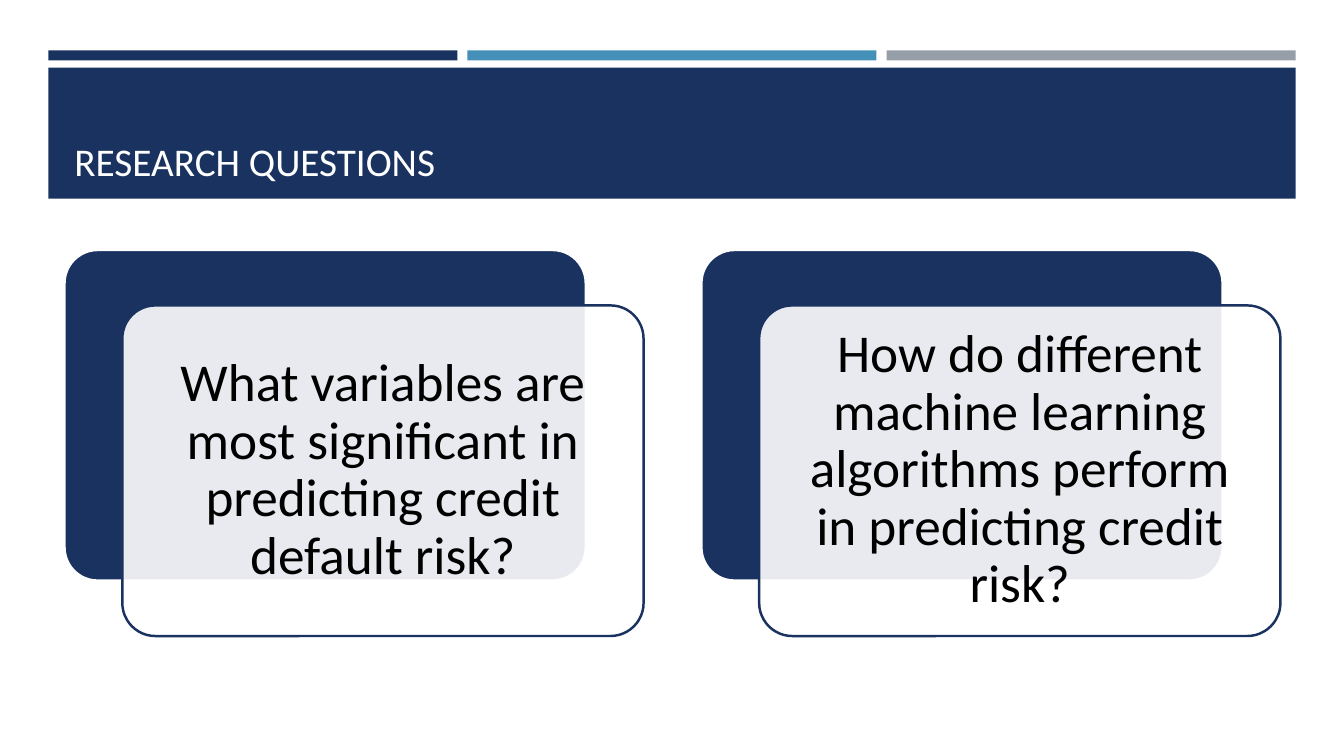
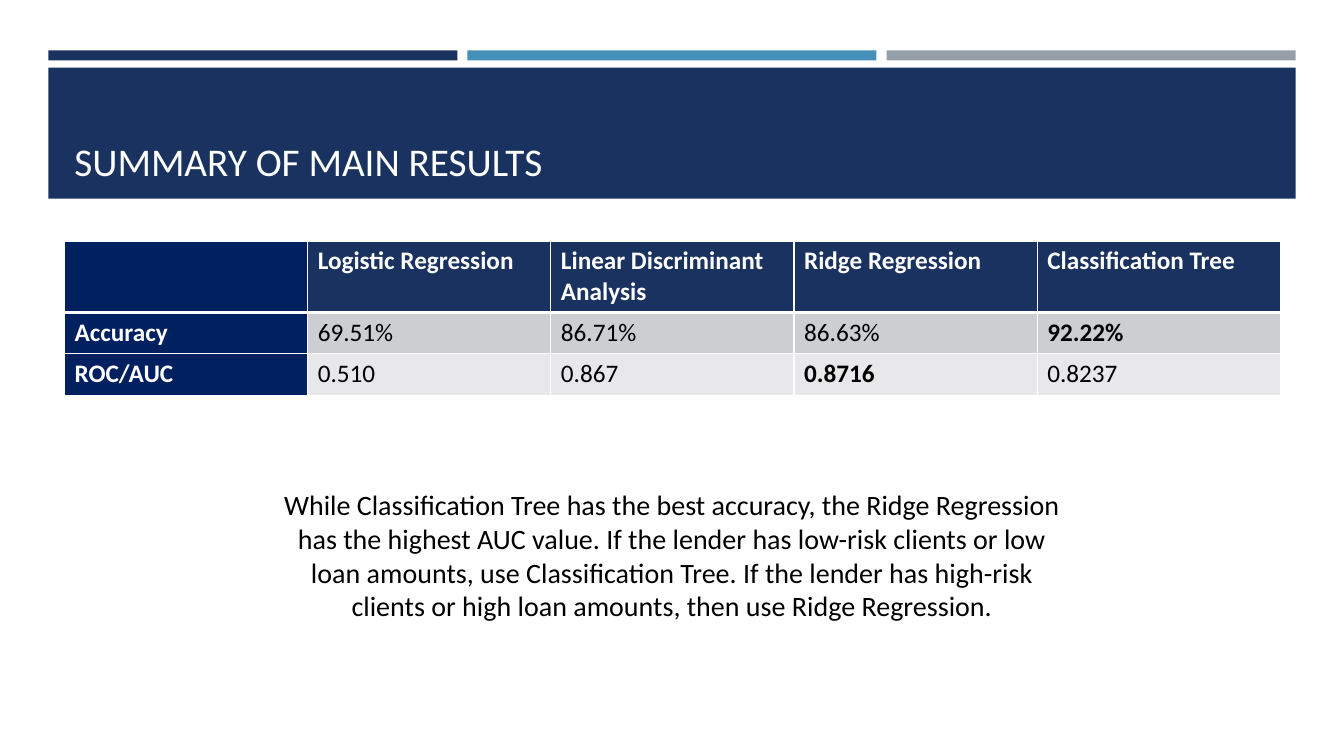
import lxml.etree
import pptx
import pptx.dml.color
import pptx.enum.shapes
import pptx.enum.text
import pptx.oxml.ns
import pptx.util

COLORS = {
    "navy": "1A3260",
    "deep": "002060",
    "blue": "4590B8",
    "gray": "969FA7",
    "odd_row": "CDCED2",
    "even_row": "E8E8EA",
    "white": "FFFFFF",
    "black": "000000",
}
FONT = "Calibri"
SLIDE_WIDTH, SLIDE_HEIGHT = 13.33, 7.5
CONTENT_LEFT, CONTENT_WIDTH = 0.64, 12.06
BAND_LEFT, BAND_WIDTH = 0.48, 12.37
BAR_GAP = 0.1
CARD_WIDTH, CARD_HEIGHT, CARD_TOP = 5.17, 3.28, 2.48
CARD_SHIFT_Y = 0.55

ALIGN = pptx.enum.text.PP_ALIGN
ANCHOR = pptx.enum.text.MSO_ANCHOR
SHAPE = pptx.enum.shapes.MSO_SHAPE

QUESTIONS = [
    "What variables are most significant in predicting credit default risk?",
    "How do different machine learning algorithms perform in predicting credit risk?",
]
RESULTS = [
    ["", "Logistic Regression", "Linear Discriminant Analysis", "Ridge Regression", "Classification Tree"],
    ["Accuracy", "69.51%", "86.71%", "86.63%", "92.22%"],
    ["ROC/AUC", "0.510", "0.867", "0.8716", "0.8237"],
]
BEST_RESULTS = {"92.22%", "0.8716"}
CONCLUSION = (
    "While Classification Tree has the best accuracy, the Ridge Regression has the highest AUC value. "
    "If the lender has low-risk clients or low loan amounts, use Classification Tree. "
    "If the lender has high-risk clients or high loan amounts, then use Ridge Regression."
)


def rgb(name):
    return pptx.dml.color.RGBColor.from_string(COLORS[name])


def box(left, top, width, height):
    return [pptx.util.Inches(length) for length in (left, top, width, height)]


def write(frame, text, size=18, color="black", bold=False, align=ALIGN.LEFT, spacing=1.0):
    frame.word_wrap = True
    paragraph = frame.paragraphs[0]
    paragraph.alignment = align
    paragraph.line_spacing = spacing
    paragraph.font.size = pptx.util.Pt(size)
    if text:
        run = paragraph.add_run()
        run.text = text
        run.font.name = FONT
        run.font.size = pptx.util.Pt(size)
        run.font.bold = bold
        run.font.color.rgb = rgb(color)


def add_text(slide, place, text, anchor=ANCHOR.TOP, **style):
    frame = slide.shapes.add_textbox(*box(*place)).text_frame
    frame.vertical_anchor = anchor
    write(frame, text, **style)


def add_block(slide, place, fill, line=None, kind=SHAPE.RECTANGLE, alpha=None):
    shape = slide.shapes.add_shape(kind, *box(*place))
    shape.shadow.inherit = False
    shape.fill.solid()
    shape.fill.fore_color.rgb = rgb(fill)
    if alpha is not None:
        color = shape.fill._xPr.find(".//" + pptx.oxml.ns.qn("a:srgbClr"))
        lxml.etree.SubElement(color, pptx.oxml.ns.qn("a:alpha"), val=str(alpha * 1000))
    if line:
        shape.line.color.rgb = rgb(line)
        shape.line.width = pptx.util.Pt(1.75)
    else:
        shape.line.fill.background()
    return shape


def add_page(presentation, title):
    slide = presentation.slides.add_slide(presentation.slide_layouts[6])
    bar_width = (BAND_WIDTH - 2 * BAR_GAP) / 3
    for column, color in enumerate(("navy", "blue", "gray")):
        left = BAND_LEFT + column * (bar_width + BAR_GAP)
        add_block(slide, (left, 0.5, bar_width, 0.1), color)
    add_block(slide, (BAND_LEFT, 0.67, BAND_WIDTH, 1.3), "navy")
    add_text(slide, (CONTENT_LEFT, 0.77, CONTENT_WIDTH, 1.11), title,
             anchor=ANCHOR.BOTTOM, size=28, color="white")
    return slide


def add_question_card(slide, column, question):
    shift = (CONTENT_WIDTH - 2 * CARD_WIDTH) / 3
    left = CONTENT_LEFT + column * (CARD_WIDTH + 2 * shift)
    add_block(slide, (left, CARD_TOP, CARD_WIDTH, CARD_HEIGHT), "navy",
              line="white", kind=SHAPE.ROUNDED_RECTANGLE).adjustments[0] = 0.1
    card = add_block(slide, (left + shift, CARD_TOP + CARD_SHIFT_Y, CARD_WIDTH, CARD_HEIGHT), "white",
                     line="navy", kind=SHAPE.ROUNDED_RECTANGLE, alpha=90)
    card.adjustments[0] = 0.1
    frame = card.text_frame
    frame.margin_left = frame.margin_right = pptx.util.Inches(0.16)
    frame.margin_top = frame.margin_bottom = pptx.util.Inches(0.16)
    frame.vertical_anchor = ANCHOR.MIDDLE
    write(frame, question, size=38, align=ALIGN.CENTER, spacing=0.9)


def set_borders(cell, widths):
    properties = cell._tc.get_or_add_tcPr()
    for position, (side, width) in enumerate(widths.items()):
        line = lxml.etree.Element(pptx.oxml.ns.qn("a:" + side), w=str(pptx.util.Pt(width)))
        fill = lxml.etree.SubElement(line, pptx.oxml.ns.qn("a:solidFill"))
        lxml.etree.SubElement(fill, pptx.oxml.ns.qn("a:srgbClr"), val=COLORS["white"])
        properties.insert(position, line)


def add_results_table(slide, rows, place, row_heights):
    table = slide.shapes.add_table(len(rows), len(rows[0]), *box(*place)).table
    table.horz_banding = False
    row_fills = ("navy", "odd_row", "even_row")
    for row, values in enumerate(rows):
        table.rows[row].height = pptx.util.Inches(row_heights[row])
        for column, value in enumerate(values):
            heading = row == 0 or column == 0
            cell = table.cell(row, column)
            cell.fill.solid()
            cell.fill.fore_color.rgb = rgb("deep" if column == 0 else row_fills[row])
            write(cell.text_frame, value, color="white" if heading else "black",
                  bold=heading or value in BEST_RESULTS)
            set_borders(cell, {"lnL": 1, "lnR": 1, "lnT": 3 if row == 1 else 1, "lnB": 3 if row == 0 else 1})


def main():
    presentation = pptx.Presentation()
    presentation.slide_width = pptx.util.Inches(SLIDE_WIDTH)
    presentation.slide_height = pptx.util.Inches(SLIDE_HEIGHT)

    slide = add_page(presentation, "RESEARCH QUESTIONS")
    for column, question in enumerate(QUESTIONS):
        add_question_card(slide, column, question)

    slide = add_page(presentation, "SUMMARY OF MAIN RESULTS")
    row_heights = (0.71, 0.41, 0.41)
    add_results_table(slide, RESULTS, (CONTENT_LEFT, 2.39, CONTENT_WIDTH, sum(row_heights)), row_heights)
    note_width = 0.6 * SLIDE_WIDTH
    add_text(slide, ((SLIDE_WIDTH - note_width) / 2, 4.79, note_width, 1.45), CONCLUSION,
             size=20, align=ALIGN.CENTER)

    presentation.save("out.pptx")


if __name__ == "__main__":
    main()
